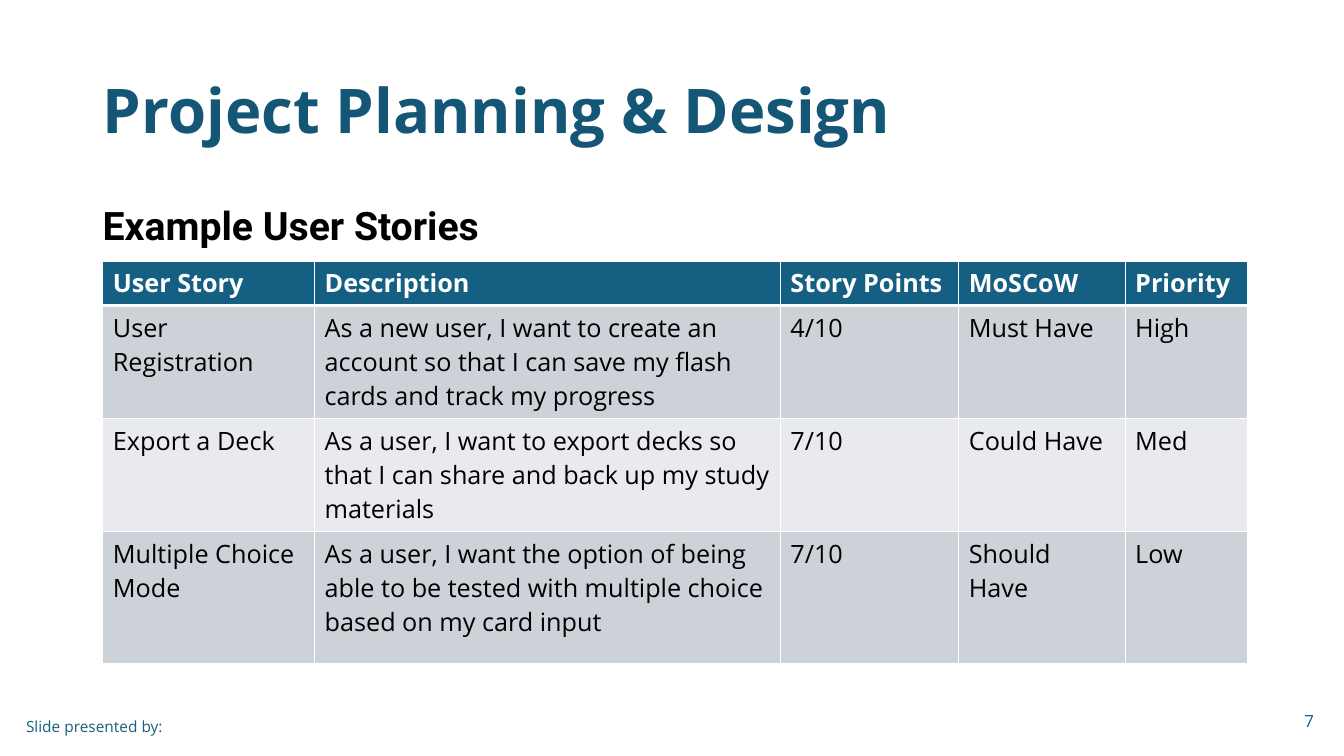
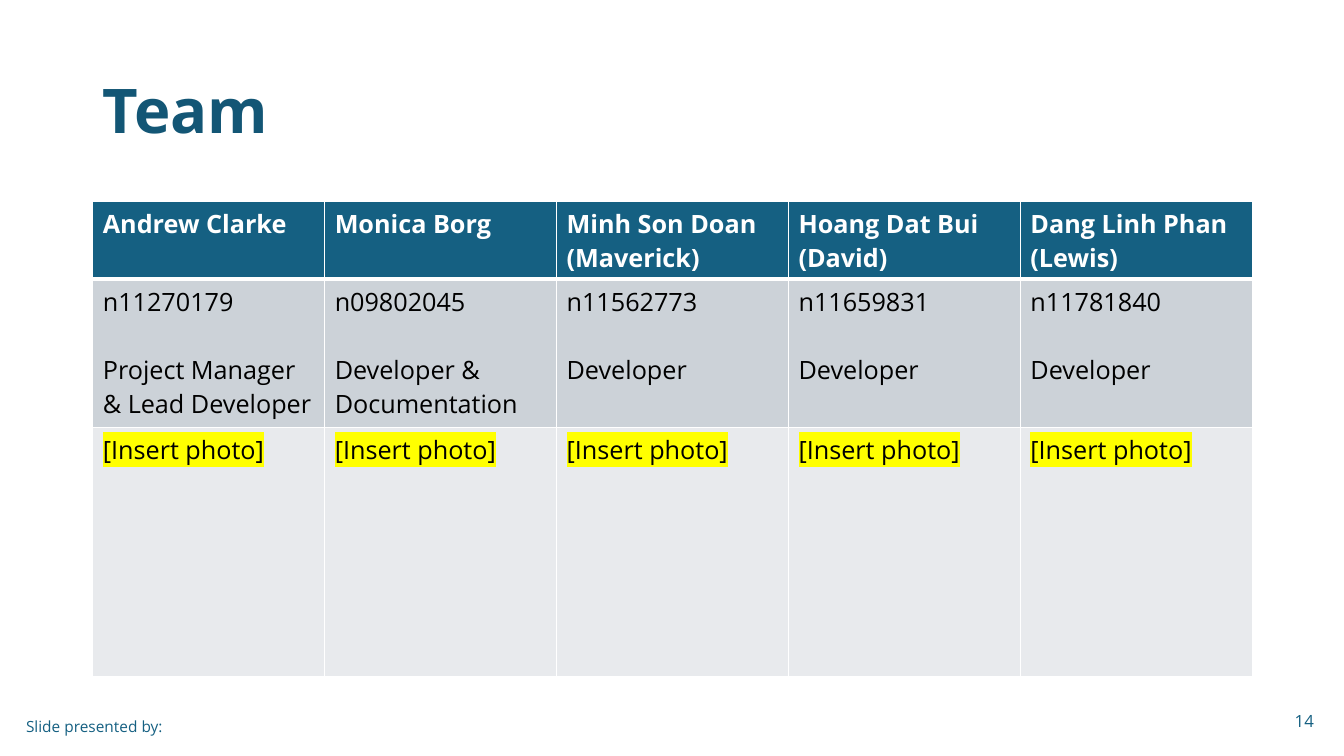
import pptx
import pptx.dml.color
import pptx.enum.text
import pptx.oxml
import pptx.util
from pptx.oxml.ns import nsdecls
from pptx.util import Inches

COLORS = {
    "title": "135675",
    "accent": "156082",
    "text": "000000",
    "white": "FFFFFF",
    "dark_band": "CCD2D8",
    "light_band": "E8EAED",
    "highlight": "FFFF00",
}
STYLES = {
    "title": {"name": "Open Sans", "size": 44, "bold": True, "color": "title"},
    "subtitle": {"name": "Roboto", "size": 28, "bold": True, "color": "text"},
    "header": {"name": "Open Sans", "size": 18, "bold": True, "color": "white"},
    "body": {"name": "Open Sans", "size": 18, "bold": False, "color": "text"},
    "footer": {"name": "Open Sans", "size": 11, "bold": False, "color": "accent"},
    "number": {"name": "Open Sans", "size": 12, "bold": False, "color": "accent"},
}
MIDDLE = pptx.enum.text.MSO_ANCHOR.MIDDLE
RIGHT = pptx.enum.text.PP_ALIGN.RIGHT

STORIES = [
    ["User Story", "Description", "Story Points", "MoSCoW", "Priority"],
    ["User Registration",
     "As a new user, I want to create an account so that I can save my flash cards and track my progress",
     "4/10", "Must Have", "High"],
    ["Export a Deck",
     "As a user, I want to export decks so that I can share and back up my study materials",
     "7/10", "Could Have", "Med"],
    ["Multiple Choice Mode",
     "As a user, I want the option of being able to be tested with multiple choice based on my card input",
     "7/10", "Should Have", "Low"],
]
MEMBERS = [
    ("Andrew Clarke", "n11270179", "Project Manager & Lead Developer"),
    ("Monica Borg", "n09802045", "Developer & Documentation"),
    ("Minh Son Doan (Maverick)", "n11562773", "Developer"),
    ("Hoang Dat Bui (David)", "n11659831", "Developer"),
    ("Dang Linh Phan (Lewis)", "n11781840", "Developer"),
]


def rgb(color):
    """Return the named palette colour."""
    return pptx.dml.color.RGBColor.from_string(COLORS[color])


def style_run(run, style):
    """Apply a named text style to a run."""
    values = dict(STYLES[style])
    run.font.color.rgb = rgb(values.pop("color"))
    values["size"] = pptx.util.Pt(values["size"])
    for attribute, value in values.items():
        setattr(run.font, attribute, value)


def highlight_run(run):
    """Put the highlight colour behind a run."""
    mark = pptx.oxml.parse_xml(
        f'<a:highlight {nsdecls("a")}><a:srgbClr val="{COLORS["highlight"]}"/></a:highlight>')
    run.font.fill._xPr.find(pptx.oxml.ns.qn("a:solidFill")).addnext(mark)


def add_text(slide, box, text, style, anchor=None, **paragraph_format):
    """Add one styled paragraph in a wrapping text box."""
    frame = slide.shapes.add_textbox(*map(Inches, box)).text_frame
    frame.word_wrap = True
    frame.vertical_anchor = anchor
    paragraph = frame.paragraphs[0]
    for attribute, value in paragraph_format.items():
        setattr(paragraph, attribute, value)
    run = paragraph.add_run()
    run.text = text
    style_run(run, style)


def set_borders(cell, widths):
    """Draw white cell borders with widths in points for each side."""
    properties = cell._tc.get_or_add_tcPr()
    for position, (side, width) in enumerate(widths.items()):
        line = pptx.oxml.parse_xml(
            f'<a:ln{side} {nsdecls("a")} w="{pptx.util.Pt(width)}"><a:solidFill>'
            f'<a:srgbClr val="{COLORS["white"]}"/></a:solidFill></a:ln{side}>')
        properties.insert(position, line)


def fill_cell(cell, text, row):
    """Fill, border and write one cell according to its row."""
    band = "accent" if row == 0 else "dark_band" if row % 2 else "light_band"
    set_borders(cell, {"L": 1, "R": 1, "T": 3 if row == 1 else 1, "B": 3 if row == 0 else 1})
    cell.fill.solid()
    cell.fill.fore_color.rgb = rgb(band)
    cell.text = text
    for index, paragraph in enumerate(cell.text_frame.paragraphs):
        if index:
            paragraph.space_before = pptx.util.Pt(24.5)
        for run in paragraph.runs:
            style_run(run, "header" if row == 0 else "body")
            if run.text.startswith("["):
                highlight_run(run)


def add_grid(slide, left, top, widths, heights, rows):
    """Add a banded table with a header row."""
    box = map(Inches, (left, top, sum(widths), sum(heights)))
    table = slide.shapes.add_table(len(heights), len(widths), *box).table
    for column, width in zip(table.columns, widths):
        column.width = Inches(width)
    for row, (height, texts) in enumerate(zip(heights, rows)):
        table.rows[row].height = Inches(height)
        for column, text in enumerate(texts):
            fill_cell(table.cell(row, column), text, row)


def add_titled_slide(deck, title, number):
    """Add a blank slide with the shared title and footer."""
    slide = deck.slides.add_slide(deck.slide_layouts[6])
    add_text(slide, (0.16, 7.01, 3, 0.4), "Slide presented by:", "footer", MIDDLE)
    add_text(slide, (0.92, 0.4, 11.5, 1.45), title, "title", MIDDLE, line_spacing=0.9)
    add_text(slide, (10.13, 6.95, 3, 0.4), str(number), "number", MIDDLE, alignment=RIGHT)
    return slide


def main():
    """Build and save the deck."""
    deck = pptx.Presentation()
    deck.slide_width, deck.slide_height = Inches(13.33), Inches(7.5)

    planning = add_titled_slide(deck, "Project Planning & Design", 7)
    add_text(planning, (0.92, 2, 11.5, 0.55), "Example User Stories", "subtitle",
             line_spacing=0.9, space_before=pptx.util.Pt(10))
    add_grid(planning, 1.02, 2.59, [2.1, 4.62, 1.77, 1.65, 1.21],
             [0.44, 1.12, 1.12, 1.31], STORIES)

    team = add_titled_slide(deck, "Team", 14)
    names = [name for name, _, _ in MEMBERS]
    roles = [f"{student}\n{role}" for _, student, role in MEMBERS]
    photos = ["[Insert photo]"] * len(MEMBERS)
    add_grid(team, 0.92, 2, [2.3] * len(MEMBERS), [0.77, 1.47, 2.47],
             [names, roles, photos])

    deck.save("out.pptx")


if __name__ == "__main__":
    main()
